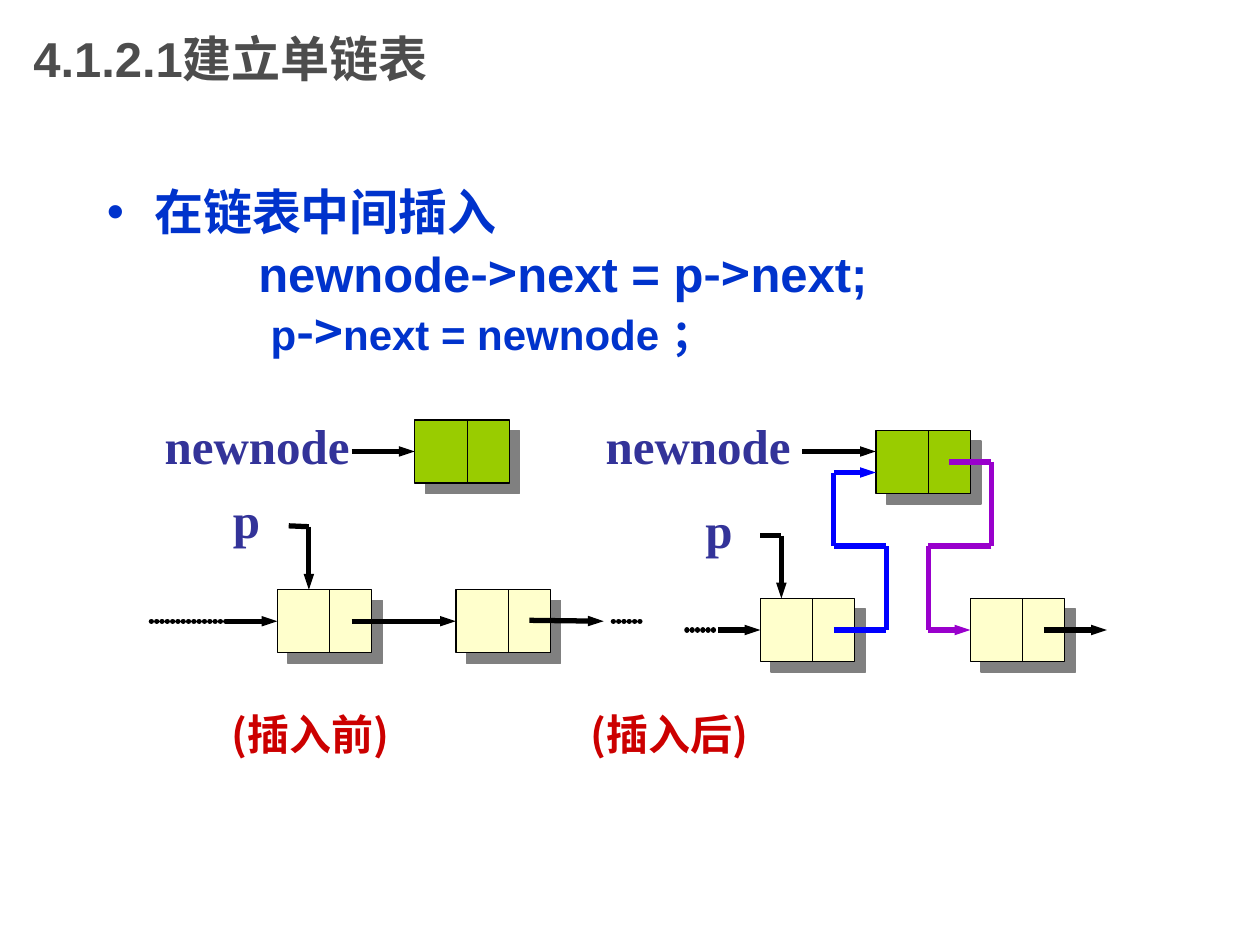
from itertools import pairwise

from lxml.etree import SubElement
from pptx import Presentation
from pptx.dml.color import RGBColor
from pptx.enum.shapes import MSO_CONNECTOR, MSO_SHAPE
from pptx.enum.text import MSO_ANCHOR, MSO_AUTO_SIZE
from pptx.oxml.ns import qn
from pptx.util import Pt

COLORS = {
    "title": "4D4D4D", "body": "0033CC", "label": "333399", "caption": "CC0000",
    "new": "99CC00", "node": "FFFFCC", "black": "000000", "shadow": "808080",
    "blue": "0000FF", "purple": "9900CC",
}
LATIN, CJK, SERIF = "Arial", "Noto Sans CJK SC", "Times New Roman"
NODE_WIDTH, NODE_HEIGHT, DIVIDER = 54, 36, 30
LEFT_SIDE = 1


def rgb(name):
    return RGBColor.from_string(COLORS[name])


def add_xml(parent, tag, **attributes):
    return SubElement(parent, qn(tag), {key: str(value) for key, value in attributes.items()})


def add_text_frame(slide, left, top, width, height, wrap=True):
    frame = slide.shapes.add_textbox(Pt(left), Pt(top), Pt(width), Pt(height)).text_frame
    frame.word_wrap = wrap
    return frame


def style(paragraph, size, color, font=LATIN):
    paragraph.font.size = Pt(size)
    paragraph.font.bold = True
    paragraph.font.color.rgb = rgb(color)
    paragraph.font.name = font
    defaults = paragraph._p.get_or_add_pPr().find(qn("a:defRPr"))
    add_xml(defaults, "a:ea", typeface=CJK)


def add_title(slide, left, top, width, height):
    frame = add_text_frame(slide, left, top, width, height)
    frame.vertical_anchor = MSO_ANCHOR.MIDDLE
    frame.text = "4.1.2.1建立单链表"
    style(frame.paragraphs[0], 28, "title")


def add_body(slide, left, top, width, height):
    frame = add_text_frame(slide, left, top, width, height)
    frame.margin_top = Pt(4)
    # Each line: margin, hanging indent, space before, size, pieces around the arrows
    lines = [
        (27, -27, 0, 28, ["在链表中间插入"]),
        (86.5, 0, 1.5, 28, ["newnode", "next = p", "next;"]),
        (93.5, 0, 0, 24, ["p", "next = newnode ；"]),
    ]
    for index, (margin, indent, before, size, pieces) in enumerate(lines):
        paragraph = frame.add_paragraph() if index else frame.paragraphs[0]
        paragraph.line_spacing = Pt(33.5)
        paragraph.space_before = Pt(before)
        properties = paragraph._p.get_or_add_pPr()
        properties.set("marL", str(Pt(margin)))
        properties.set("indent", str(Pt(indent)))
        if indent:
            color = add_xml(properties, "a:buClr")
            add_xml(color, "a:srgbClr", val=COLORS["body"])
            add_xml(properties, "a:buFont", typeface=LATIN)
            add_xml(properties, "a:buChar", char="•")
        style(paragraph, size, "body")
        for position, piece in enumerate(pieces):
            if position:
                arrow = paragraph.add_run()
                arrow.text = "->"
                arrow.font.name = CJK
                arrow.font.size = Pt(28)
            paragraph.add_run().text = piece


def add_label(slide, left, top, width, text):
    frame = add_text_frame(slide, left, top, width, 41, wrap=False)
    frame.auto_size = MSO_AUTO_SIZE.SHAPE_TO_FIT_TEXT
    frame.text = text
    style(frame.paragraphs[0], 28, "label", SERIF)


def add_line(slide, start, end, color="black", width=3, arrow=False, dotted=False, target=None):
    line = slide.shapes.add_connector(
        MSO_CONNECTOR.STRAIGHT, *(Pt(value) for value in (*start, *end)))
    line.line.color.rgb = rgb(color)
    line.line.width = Pt(width)
    outline = line.line._get_or_add_ln()
    if dotted:
        outline.set("cap", "rnd")
        dashes = add_xml(outline, "a:custDash")
        add_xml(dashes, "a:ds", d=1000, sp=100000)
    if arrow:
        add_xml(outline, "a:tailEnd", type="triangle", w="sm", len="med")
    add_xml(line._element.spPr, "a:effectLst")
    if target is not None:
        line.end_connect(target, LEFT_SIDE)


def add_route(slide, left, top, points, color="black", arrow=True, dotted=False, target=None):
    """Join the points with straight lines; only the last has the arrowhead."""
    places = [(left + x, top + y) for x, y in points]
    segments = list(pairwise(places))
    for start, end in segments[:-1]:
        add_line(slide, start, end, color)
    add_line(slide, *segments[-1], color, arrow=arrow, dotted=dotted, target=target)


def add_node(slide, left, top, color="node"):
    node = slide.shapes.add_shape(
        MSO_SHAPE.RECTANGLE, Pt(left), Pt(top), Pt(NODE_WIDTH), Pt(NODE_HEIGHT))
    node.fill.solid()
    node.fill.fore_color.rgb = rgb(color)
    node.line.color.rgb = rgb("black")
    node.line.width = Pt(0.75)
    effects = add_xml(node._element.spPr, "a:effectLst")
    shadow = add_xml(effects, "a:outerShdw", dist=Pt(8.5), dir=45 * 60000,
                     algn="ctr", rotWithShape=0)
    add_xml(shadow, "a:srgbClr", val=COLORS["shadow"])
    x = left + DIVIDER
    add_line(slide, (x, top), (x, top + NODE_HEIGHT), width=0.75)
    return node


def add_before(slide, left, top):
    new = add_node(slide, left + 150.5, top + 6, "new")
    first = add_node(slide, left + 72, top + 103)
    second = add_node(slide, left + 174, top + 103)
    add_label(slide, left + 0.5, top, 126, "newnode")
    add_label(slide, left + 39.5, top + 42, 29.5, "p")
    # Pointers to the new node and to p
    add_route(slide, left, top, [(114.5, 24), (150.5, 24)], target=new)
    add_route(slide, left, top, [(78.5, 66.5), (90, 67), (90, 103)])
    # Chain
    add_route(slide, left, top, [(0, 121), (42.5, 121)], arrow=False, dotted=True)
    add_route(slide, left, top, [(42.5, 121), (72, 121)], target=first)
    add_route(slide, left, top, [(114.5, 121), (174, 121)], target=second)
    add_route(slide, left, top, [(216, 120.5), (258.5, 121)])
    add_route(slide, left, top, [(264, 121), (282, 121)], arrow=False, dotted=True)


def add_after(slide, left, top):
    add_node(slide, left + 161.5, top + 12, "new")
    first = add_node(slide, left + 95.5, top + 108)
    second = add_node(slide, left + 215.5, top + 108)
    add_label(slide, left, top, 126, "newnode")
    add_label(slide, left + 57, top + 48, 29.5, "p")
    # Pointers to the new node and to p
    add_route(slide, left, top, [(119.5, 24), (161.5, 24)])
    add_route(slide, left, top, [(95.5, 72), (107.5, 72), (107.5, 108)])
    # Chain, led through the new node
    add_route(slide, left, top, [(53.5, 126), (71.5, 126)], arrow=False, dotted=True)
    add_route(slide, left, top, [(71.5, 126), (95.5, 126)], target=first)
    add_route(slide, left, top, [(137.5, 126), (167.5, 126), (167.5, 78), (137.5, 78),
                                 (137.5, 36), (161.5, 36)], "blue")
    add_route(slide, left, top, [(203.5, 30), (227.5, 30), (227.5, 78), (191.5, 78),
                                 (191.5, 126), (215.5, 126)], "purple", target=second)
    add_route(slide, left, top, [(257.5, 126), (293.5, 126)])


def add_captions(slide, left, top, width, height):
    frame = add_text_frame(slide, left, top, width, height)
    frame.margin_left = frame.margin_right = Pt(8.5)
    frame.margin_top = frame.margin_bottom = Pt(4.5)
    frame.text = "\t(插入前)\t(插入后)"
    paragraph = frame.paragraphs[0]
    tabs = add_xml(paragraph._p.get_or_add_pPr(), "a:tabLst")
    for stop in (16, 221):
        add_xml(tabs, "a:tab", pos=Pt(stop), algn="l")
    style(paragraph, 24, "caption", CJK)


def main():
    presentation = Presentation()
    presentation.slide_width, presentation.slide_height = Pt(720), Pt(540)
    slide = presentation.slides.add_slide(presentation.slide_layouts[6])
    add_title(slide, 12, 0, 540, 66)
    add_body(slide, 54, 100, 641, 113)
    add_before(slide, 86.5, 234)
    add_after(slide, 339, 234)
    add_captions(slide, 108, 400.5, 497, 37.5)
    presentation.save("out.pptx")


if __name__ == "__main__":
    main()
